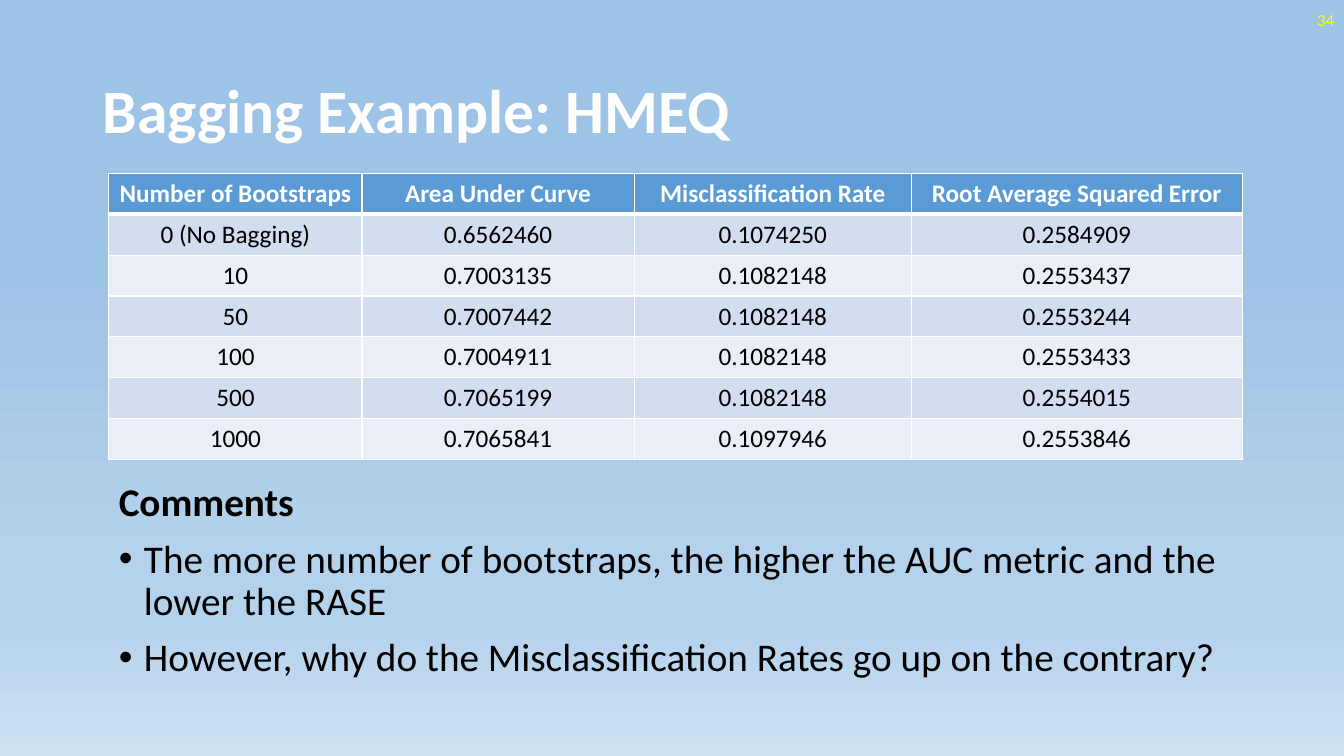
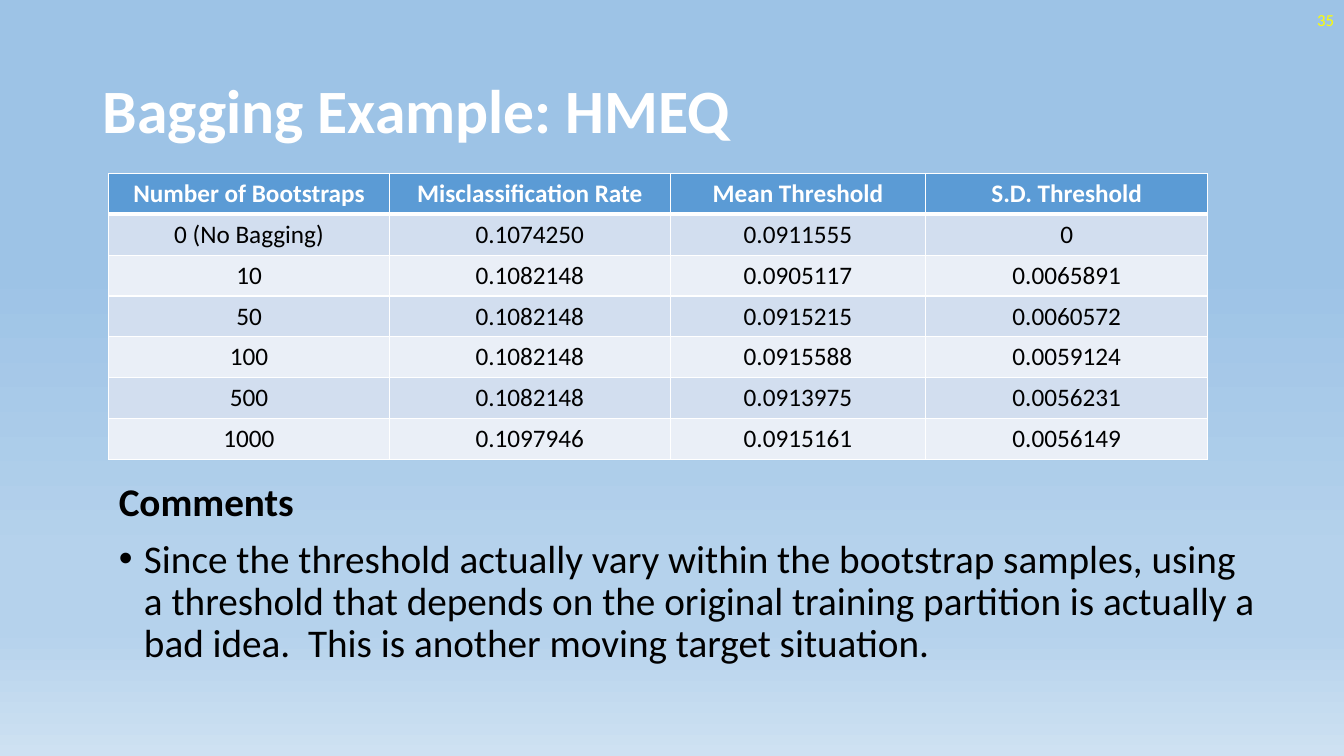
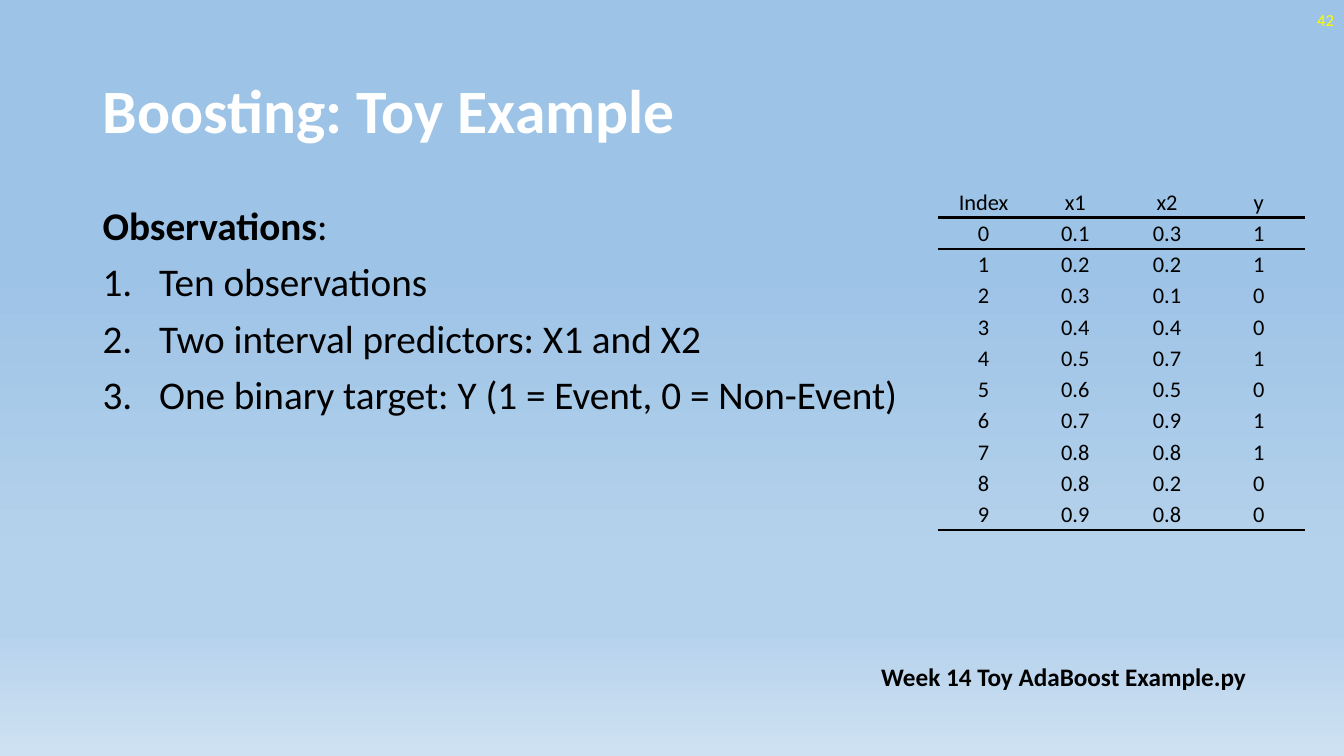
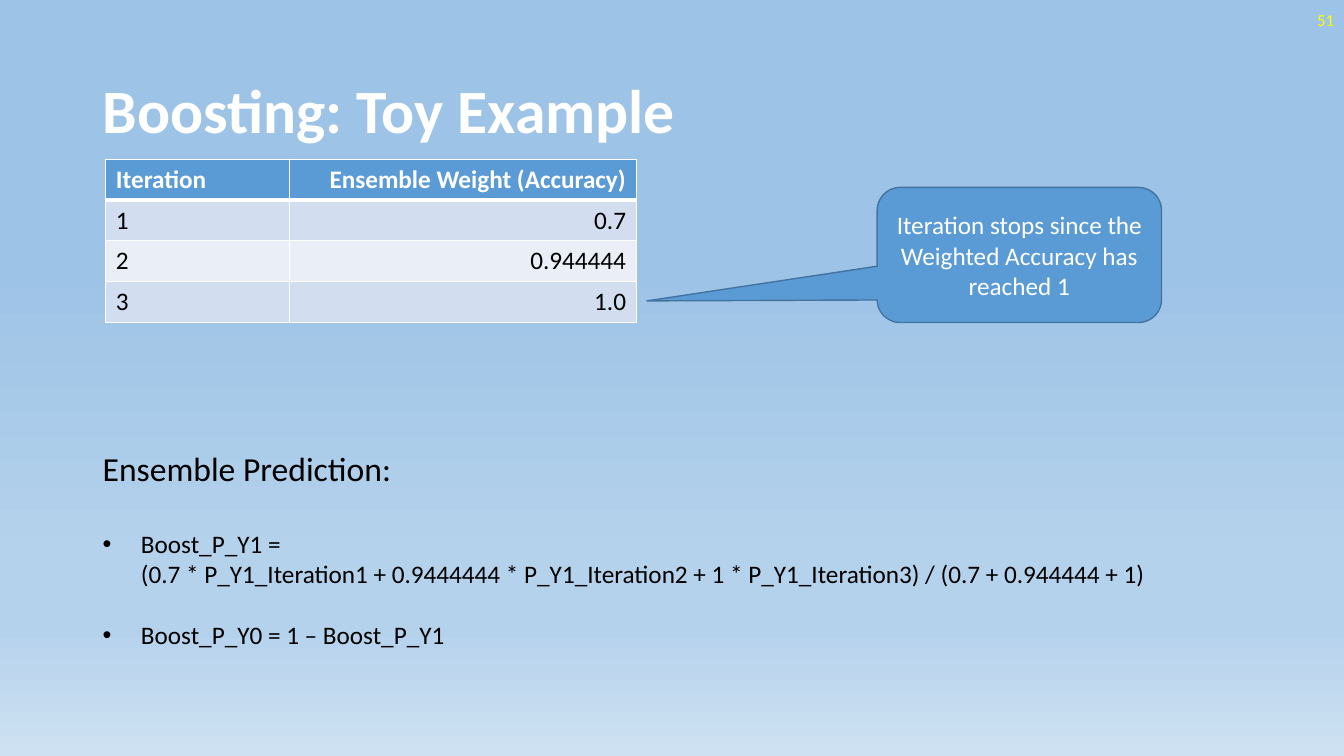
from lxml.etree import SubElement
from pptx import Presentation
from pptx.dml.color import RGBColor
from pptx.enum.shapes import MSO_SHAPE
from pptx.enum.text import MSO_ANCHOR, MSO_AUTO_SIZE, PP_ALIGN
from pptx.oxml.ns import qn
from pptx.util import Inches, Pt

FONT = "Calibri"
COLORS = {
    "white": "FFFFFF", "black": "000000", "page": "FFFF00",
    "accent": "5B9BD5", "outline": "43739E",
    "odd_row": "D2DEEF", "even_row": "EAEFF7",
}
SKY = [(35, "9DC3E6"), (74, "B5D2EC"), (83, "B5D2EC"), (100, "CEE1F2")]
NO_STYLE = "{2D5ABB26-0587-4C30-8999-92F81FD0307C}"
LEFT, CENTER, RIGHT = PP_ALIGN.LEFT, PP_ALIGN.CENTER, PP_ALIGN.RIGHT

BOOTSTRAPS = ["0 (No Bagging)", "10", "50", "100", "500", "1000"]
MISCLASSIFICATION = ["0.1074250"] + ["0.1082148"] * 4 + ["0.1097946"]
BAGGING = [
    {
        "page": "34",
        "widths": [2.51, 2.7, 2.75, 3.28],
        "columns": {
            "Number of Bootstraps": BOOTSTRAPS,
            "Area Under Curve": ["0.6562460", "0.7003135", "0.7007442", "0.7004911", "0.7065199", "0.7065841"],
            "Misclassification Rate": MISCLASSIFICATION,
            "Root Average Squared Error": ["0.2584909", "0.2553437", "0.2553244", "0.2553433", "0.2554015", "0.2553846"],
        },
        "comments": [
            "The more number of bootstraps, the higher the AUC metric and the lower the RASE",
            "However, why do the Misclassification Rates go up on the contrary?",
        ],
    },
    {
        "page": "35",
        "widths": [2.78, 2.79, 2.53, 2.8],
        "columns": {
            "Number of Bootstraps": BOOTSTRAPS,
            "Misclassification Rate": MISCLASSIFICATION,
            "Mean Threshold": ["0.0911555", "0.0905117", "0.0915215", "0.0915588", "0.0913975", "0.0915161"],
            "S.D. Threshold": ["0", "0.0065891", "0.0060572", "0.0059124", "0.0056231", "0.0056149"],
        },
        "comments": [
            "Since the threshold actually vary within the bootstrap samples, using a threshold that depends "
            "on the original training partition is actually a bad idea.  This is another moving target situation.",
        ],
    },
]
OBSERVATION_NOTES = [
    "Ten observations",
    "Two interval predictors: X1 and X2",
    "One binary target: Y (1 = Event, 0 = Non-Event)",
]
OBSERVATIONS = {
    "Index": [str(index) for index in range(10)],
    "x1": ["0.1", "0.2", "0.3", "0.4", "0.5", "0.6", "0.7", "0.8", "0.8", "0.9"],
    "x2": ["0.3", "0.2", "0.1", "0.4", "0.7", "0.5", "0.9", "0.8", "0.2", "0.8"],
    "y": ["1", "1", "0", "0", "1", "0", "1", "1", "0", "0"],
}
PROGRAM = "Week 14 Toy AdaBoost Example.py"
WEIGHTS = {
    "Iteration": ["1", "2", "3"],
    "Ensemble Weight (Accuracy)": ["0.7", "0.944444", "1.0"],
}
PREDICTIONS = [
    ("Boost_P_Y1 =\n(0.7 * P_Y1_Iteration1 + 0.9444444 * P_Y1_Iteration2 + 1 * P_Y1_Iteration3)"
     " / (0.7 + 0.944444 + 1)", 29),
    ("Boost_P_Y0 = 1 – Boost_P_Y1", 22),
]
STOP_REASON = "Iteration stops since the Weighted Accuracy has reached 1"


def rgb(name):
    return RGBColor.from_string(COLORS[name])


def inches(*lengths):
    return [Inches(length) for length in lengths]


def style(paragraph, size, color="black", bold=False, align=LEFT, spacing=None, before=None):
    paragraph.alignment = align
    if spacing:
        paragraph.line_spacing = spacing
    if before is not None:
        paragraph.space_before = Pt(before)
    for run in paragraph.runs:
        run.font.name, run.font.size, run.font.bold = FONT, Pt(size), bold
        run.font.color.rgb = rgb(color)


def add_bullet(paragraph, indent, numbered=False):
    props = paragraph._p.get_or_add_pPr()
    props.set("marL", str(Inches(indent)))
    props.set("indent", str(-Inches(indent)))
    if numbered:
        SubElement(props, qn("a:buAutoNum"), type="arabicPeriod")
    else:
        SubElement(props, qn("a:buFont"), typeface="Arial")
        SubElement(props, qn("a:buChar"), char="•")


def add_text(slide, box, text, size, wrap=True, **look):
    frame = slide.shapes.add_textbox(*inches(*box)).text_frame
    frame.word_wrap = wrap
    frame.text = text
    style(frame.paragraphs[0], size, **look)
    return frame


def add_item(frame, text, size, indent, numbered=False, **look):
    item = frame.add_paragraph()
    item.text = text
    style(item, size, **look)
    add_bullet(item, indent, numbered)


def paint_background(master):
    fill = master.background.fill
    fill.gradient()
    fill.gradient_angle = 270
    stops = fill._fill._gradFill.find(qn("a:gsLst"))
    for stop in list(stops):
        stops.remove(stop)
    for percent, color in SKY:
        stop = SubElement(stops, qn("a:gs"), pos=str(percent * 1000))
        SubElement(stop, qn("a:srgbClr"), val=color)


def start_slide(prs, title, page):
    slide = prs.slides.add_slide(prs.slide_layouts[5])
    heading = slide.shapes.title
    heading.left, heading.top, heading.width, heading.height = inches(0.92, 0.4, 11.5, 1.45)
    frame = heading.text_frame
    frame.text = title
    frame.word_wrap = True
    frame.auto_size = MSO_AUTO_SIZE.NONE
    frame.vertical_anchor = MSO_ANCHOR.MIDDLE
    style(frame.paragraphs[0], 44, "white", True, spacing=0.9)
    number = add_text(slide, (10.33, 0, 3, 0.4), page, 12, color="page", align=RIGHT)
    number.vertical_anchor = MSO_ANCHOR.MIDDLE
    return slide


def set_borders(cell, color, points):
    props = cell._tc.get_or_add_tcPr()
    for side in "LRTB":
        if side in points:
            line = SubElement(props, qn(f"a:ln{side}"), w=str(Pt(points[side])))
            SubElement(SubElement(line, qn("a:solidFill")), qn("a:srgbClr"), val=COLORS[color])


def add_grid(slide, left, top, height, widths, columns):
    rows = [list(columns), *zip(*columns.values())]
    frame = slide.shapes.add_table(
        len(rows), len(widths), *inches(left, top, sum(widths), height))
    table = frame.table
    table._tbl.tblPr.find(qn("a:tableStyleId")).text = NO_STYLE
    table.horz_banding = False
    for column, width in zip(table.columns, widths):
        column.width = Inches(width)
    for r, row in enumerate(rows):
        for c, value in enumerate(row):
            table.cell(r, c).text = value
    return table


def add_banded_table(slide, left, top, height, widths, columns, aligns):
    table = add_grid(slide, left, top, height, widths, columns)
    for r, row in enumerate(table.rows):
        header = r == 0
        for cell, align in zip(row.cells, aligns):
            style(cell.text_frame.paragraphs[0], 18, "white" if header else "black", header, align)
            set_borders(cell, "white", {"L": 1, "R": 1, "T": 3 if r == 1 else 1, "B": 3 if header else 1})
            cell.fill.solid()
            cell.fill.fore_color.rgb = rgb("accent" if header else "odd_row" if r % 2 else "even_row")


def add_ruled_table(slide, left, top, height, widths, columns):
    table = add_grid(slide, left, top, height, widths, columns)
    last = len(table.rows) - 1
    rules = {0: {"B": 2}, 1: {"T": 2}, last: {"B": 2}}
    for r, row in enumerate(table.rows):
        for cell in row.cells:
            cell.margin_left = cell.margin_right = cell.margin_top = Inches(0.01)
            cell.margin_bottom = 0
            cell.vertical_anchor = MSO_ANCHOR.MIDDLE
            style(cell.text_frame.paragraphs[0], 16, align=CENTER)
            set_borders(cell, "black", rules.get(r, {}))
            cell.fill.background()


def build_bagging(prs, example):
    slide = start_slide(prs, "Bagging Example: HMEQ", example["page"])
    widths = example["widths"]
    add_banded_table(slide, 1.08, 1.72, 2.84, widths, example["columns"], [CENTER] * len(widths))
    comments = add_text(slide, (1.08, 4.74, 11.5, 2.18), "Comments", 28, bold=True, spacing=0.9, before=10)
    for comment in example["comments"]:
        add_item(comments, comment, 28, 0.25, spacing=0.9, before=10)


def build_observations(prs):
    slide = start_slide(prs, "Boosting: Toy Example", "42")
    notes = add_text(slide, (0.92, 2, 11.5, 4.76), "Observations", 28, spacing=0.9, before=10)
    lead = notes.paragraphs[0]
    lead.add_run().text = ":"
    style(lead, 28, spacing=0.9, before=10)
    lead.runs[0].font.bold = True
    for note in OBSERVATION_NOTES:
        add_item(notes, note, 28, 0.56, numbered=True, spacing=0.9, before=10)
    add_ruled_table(slide, 9.3, 1.85, 3.41, [0.91] * 4, OBSERVATIONS)
    add_text(slide, (8.64, 6.51, 3.85, 0.4), PROGRAM, 18, wrap=False, bold=True)


def build_prediction(prs):
    slide = start_slide(prs, "Boosting: Toy Example", "51")
    add_banded_table(slide, 1.05, 1.58, 1.62, [1.82, 3.44], WEIGHTS, [LEFT, RIGHT])
    prediction = add_text(slide, (0.92, 4.39, 11.14, 2.12), "Ensemble Prediction:", 24)
    for formula, gap in PREDICTIONS:
        add_item(prediction, formula, 18, 0.38, before=gap)
    callout = slide.shapes.add_shape(
        MSO_SHAPE.ROUNDED_RECTANGULAR_CALLOUT, *inches(8.7, 1.86, 2.82, 1.34))
    for i, value in enumerate([-1.31, 0.34, 0.17]):
        callout.adjustments[i] = value
    callout.shadow.inherit = False
    callout.fill.solid()
    callout.fill.fore_color.rgb = rgb("accent")
    callout.line.color.rgb = rgb("outline")
    callout.line.width = Pt(1)
    reason = callout.text_frame
    reason.text = STOP_REASON
    reason.word_wrap = True
    reason.vertical_anchor = MSO_ANCHOR.MIDDLE
    style(reason.paragraphs[0], 18, "white", align=CENTER)


def main():
    prs = Presentation()
    prs.slide_width, prs.slide_height = inches(13.33, 7.5)
    paint_background(prs.slide_master)
    for example in BAGGING:
        build_bagging(prs, example)
    build_observations(prs)
    build_prediction(prs)
    prs.save("out.pptx")


if __name__ == "__main__":
    main()
